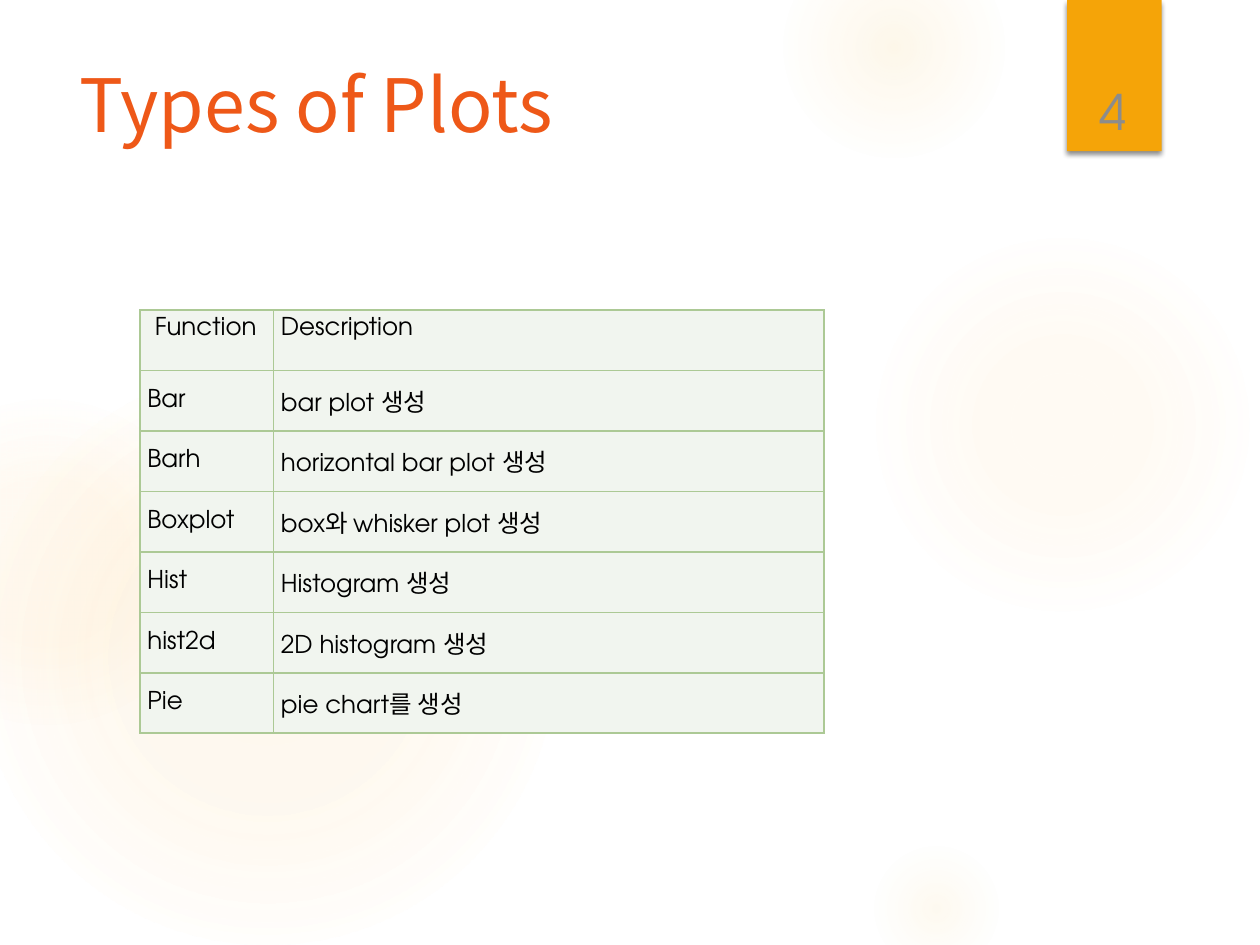
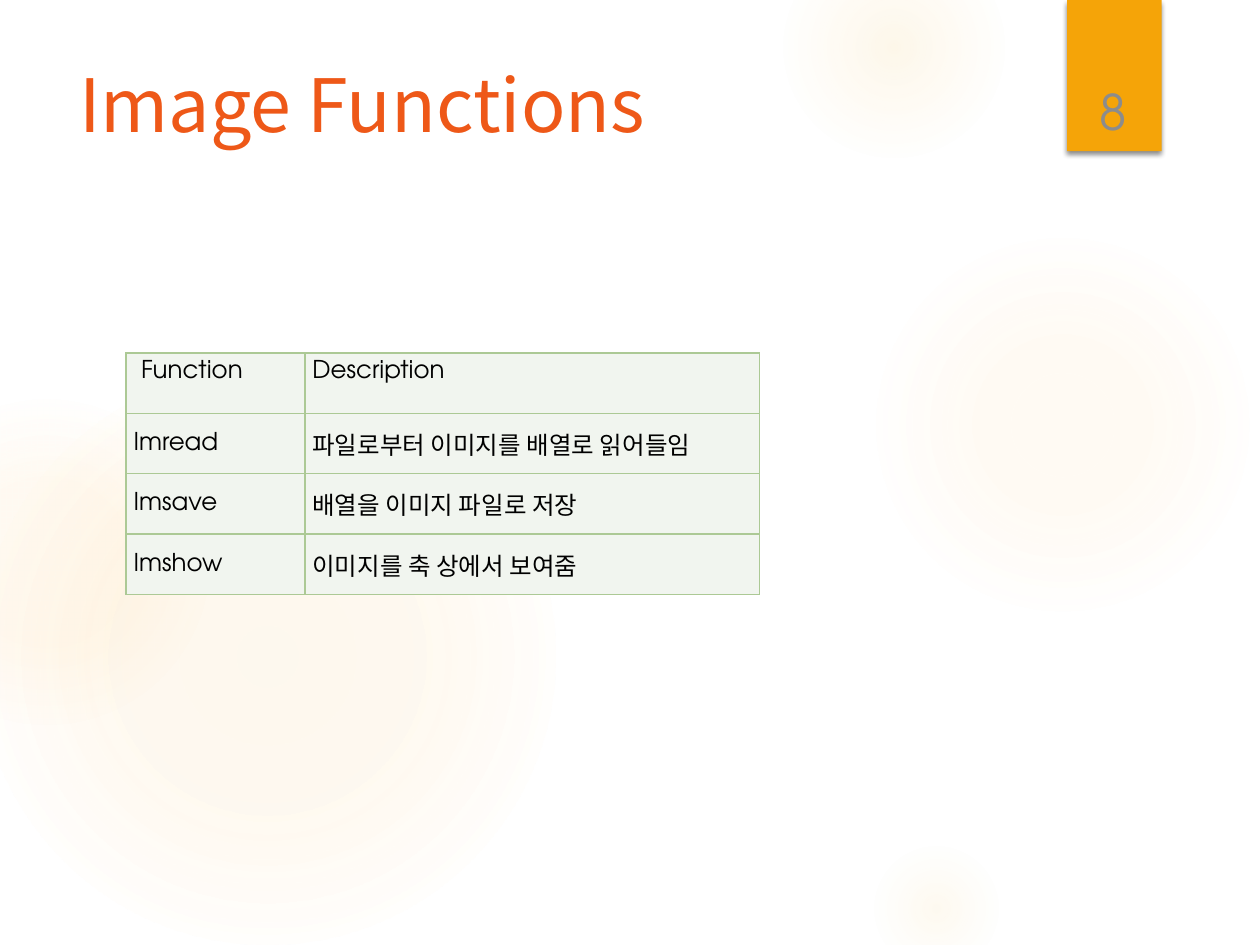
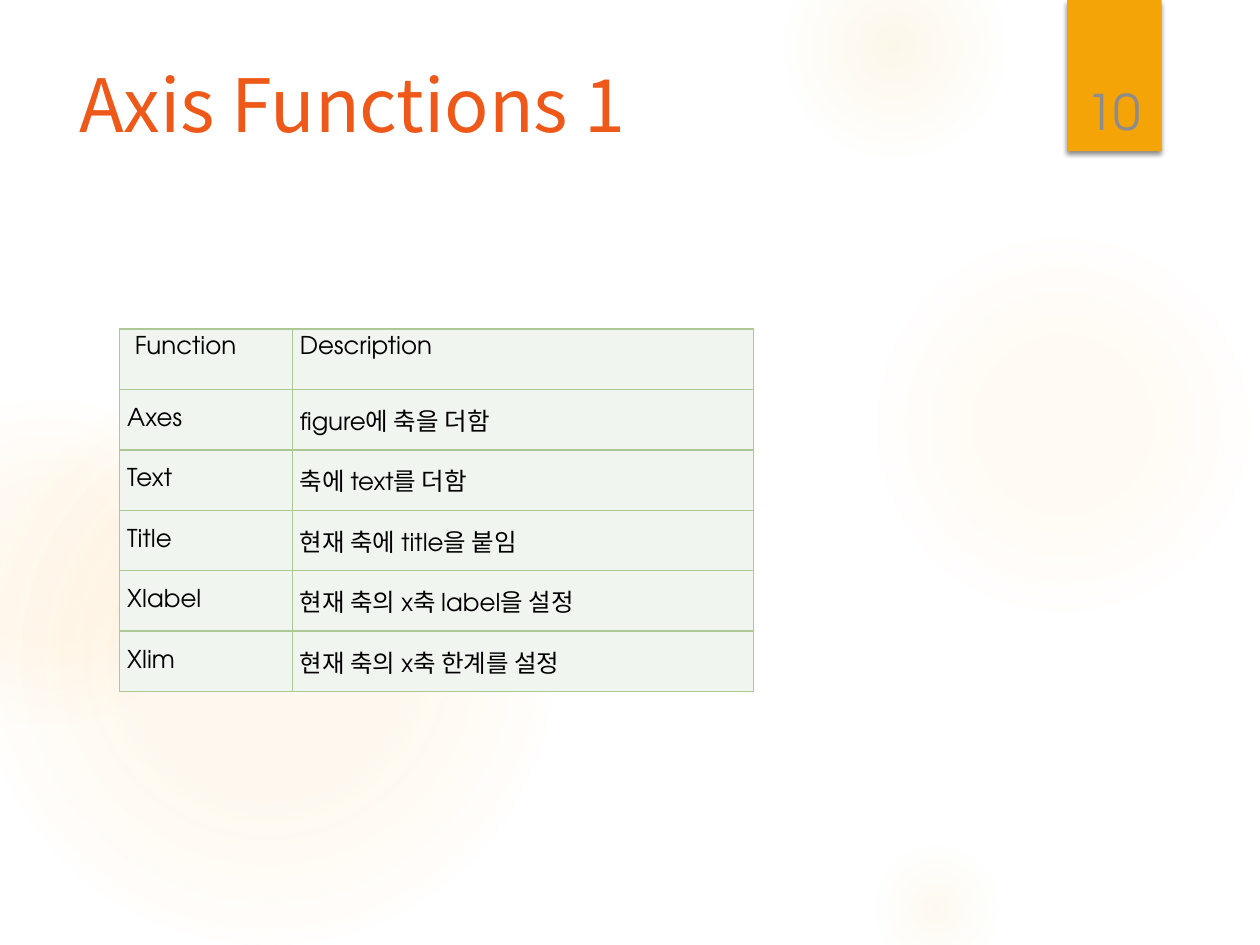
from pptx import Presentation
from pptx import oxml, util as u
from pptx.dml.color import RGBColor
from pptx.enum import shapes, text
from pptx.oxml import ns

COLOURS = {
    "glow": "FAC96A",
    "ribbon": "F5A408",
    "title": "EE5818",
    "number": "8C8C8C",
    "cell": "F1F5EF",
    "border": "ACC995",
    "text": "000000",
    "shadow": "000000",
}
TITLE_FONT = "Noto Sans CJK KR"
BODY_FONT = "TeX Gyre Adventor"
HEADER = ("Function", "Description")
ROW_HEIGHT = 0.48
CELL_MARGIN = 0.06
HEADER_INDENT = 0.12

# left, top, diameter, (stop position, opacity) in percent
GLOWS = [
    (6.89, 1.83, 3.08, [(0, 7), (36, 6), (69, 0)]),
    (6.22, -0.5, 1.75, [(0, 14), (36, 7), (73, 0)]),
    (6.89, 6.67, 1.08, [(0, 10), (31, 5), (66, 0)]),
    (-0.17, 2.92, 4.58, [(0, 11), (36, 10), (75, 0)]),
    (-0.92, 3.17, 2.58, [(0, 8), (36, 8), (72, 0)]),
]

SLIDES = [
    {
        "title": "Types of Plots",
        "number": "4",
        "position": (1.11, 2.46),
        "columns": (1.06, 4.37),
        "rows": [
            ("Bar", "bar plot 생성"),
            ("Barh", "horizontal bar plot 생성"),
            ("Boxplot", "box와 whisker plot 생성"),
            ("Hist", "Histogram 생성"),
            ("hist2d", "2D histogram 생성"),
            ("Pie", "pie chart를 생성"),
        ],
    },
    {
        "title": "Image Functions",
        "number": "8",
        "position": (1, 2.8),
        "columns": (1.42, 3.61),
        "rows": [
            ("Imread", "파일로부터 이미지를 배열로 읽어들임"),
            ("Imsave", "배열을 이미지 파일로 저장"),
            ("Imshow", "이미지를 축 상에서 보여줌"),
        ],
    },
    {
        "title": "Axis Functions 1",
        "number": "10",
        "position": (0.95, 2.61),
        "columns": (1.37, 3.66),
        "rows": [
            ("Axes", "figure에 축을 더함"),
            ("Text", "축에 text를 더함"),
            ("Title", "현재 축에 title을 붙임"),
            ("Xlabel", "현재 축의 x축 label을 설정"),
            ("Xlim", "현재 축의 x축 한계를 설정"),
        ],
    },
]


def colour(name):
    return RGBColor.from_string(COLOURS[name])


def element(tag, attributes, content=""):
    return oxml.parse_xml(f"<a:{tag} {ns.nsdecls('a')} {attributes}>{content}</a:{tag}>")


def tint(name, opacity):
    return f'<a:srgbClr val="{COLOURS[name]}"><a:alpha val="{opacity * 1000}"/></a:srgbClr>'


def write(frame, words, size, font, colour_name):
    paragraph = frame.paragraphs[0]
    run = paragraph.add_run()
    run.text = words
    run.font.size = u.Pt(size)
    run.font.color.rgb = colour(colour_name)
    run.font.name = font
    run.font._element.append(element("ea", f'typeface="{TITLE_FONT}"'))
    return paragraph


def add_plain_shape(slide, kind, *box):
    shape = slide.shapes.add_shape(kind, *map(u.Inches, box))
    shape.line.fill.background()
    shape.shadow.inherit = False
    return shape


def add_glow(slide, left, top, diameter, stops):
    shape = add_plain_shape(slide, shapes.MSO_SHAPE.OVAL, left, top, diameter, diameter)
    shape.fill.background()
    stop_list = "".join(f'<a:gs pos="{position * 1000}">{tint("glow", opacity)}</a:gs>'
                        for position, opacity in stops)
    centre = '<a:fillToRect l="50000" t="50000" r="50000" b="50000"/>'
    gradient = element("gradFill", 'rotWithShape="1"',
                       f'<a:gsLst>{stop_list}</a:gsLst><a:path path="circle">{centre}</a:path>')
    properties = shape._element.spPr
    properties.replace(properties.find(ns.qn("a:noFill")), gradient)


def add_ribbon(slide):
    shape = add_plain_shape(slide, shapes.MSO_SHAPE.RECTANGLE, 8.47, 0, 0.75, 1.2)
    shape.fill.solid()
    shape.fill.fore_color.rgb = colour("ribbon")
    shadow = element("outerShdw",
                     f'blurRad="{u.Pt(3)}" dist="{u.Pt(2)}" dir="5400000" rotWithShape="0"',
                     tint("shadow", 45))
    shape._element.spPr.find(ns.qn("a:effectLst")).append(shadow)


def add_text_frame(slide, *box):
    frame = slide.shapes.add_textbox(*map(u.Inches, box)).text_frame
    frame.word_wrap = True
    return frame


def add_title(slide, words):
    frame = add_text_frame(slide, 0.53, 0.5, 7.72, 1.53)
    write(frame, words, 42, TITLE_FONT, "title").line_spacing = 0.9


def add_number(slide, number):
    frame = add_text_frame(slide, 8.49, 0.32, 0.69, 0.84)
    frame.vertical_anchor = text.MSO_ANCHOR.BOTTOM
    write(frame, number, 28, BODY_FONT, "number").alignment = text.PP_ALIGN.CENTER


def style_cell(cell, is_header, is_first):
    cell.margin_left = u.Inches(HEADER_INDENT if is_header and is_first else CELL_MARGIN)
    cell.margin_right = cell.margin_top = cell.margin_bottom = u.Inches(CELL_MARGIN)
    cell.vertical_anchor = text.MSO_ANCHOR.TOP if is_header else text.MSO_ANCHOR.MIDDLE
    cell.fill.solid()
    cell.fill.fore_color.rgb = colour("cell")
    fill = f'<a:solidFill><a:srgbClr val="{COLOURS["border"]}"/></a:solidFill>'
    properties = cell._tc.get_or_add_tcPr()
    for index, side in enumerate("LRTB"):
        properties.insert(index, element(f"ln{side}", f'w="{u.Pt(1)}"', fill))


def add_function_table(slide, position, columns, rows):
    rows = [HEADER, *rows]
    size = (sum(columns), ROW_HEIGHT * len(rows))
    table = slide.shapes.add_table(len(rows), len(columns),
                                   *map(u.Inches, position + size)).table
    table.first_row = table.horz_banding = False
    for column, width in zip(table.columns, columns):
        column.width = u.Inches(width)
    for row_index, row in enumerate(rows):
        table.rows[row_index].height = u.Inches(ROW_HEIGHT)
        for column_index, words in enumerate(row):
            cell = table.cell(row_index, column_index)
            style_cell(cell, row_index == 0, column_index == 0)
            write(cell.text_frame, words, 14, BODY_FONT, "text")


def main():
    presentation = Presentation()
    presentation.slide_width = u.Inches(10)
    presentation.slide_height = u.Inches(7.5)
    for content in SLIDES:
        slide = presentation.slides.add_slide(presentation.slide_layouts[6])
        for glow in GLOWS:
            add_glow(slide, *glow)
        add_ribbon(slide)
        add_title(slide, content["title"])
        add_function_table(slide, content["position"], content["columns"], content["rows"])
        add_number(slide, content["number"])
    presentation.save("out.pptx")


if __name__ == "__main__":
    main()
